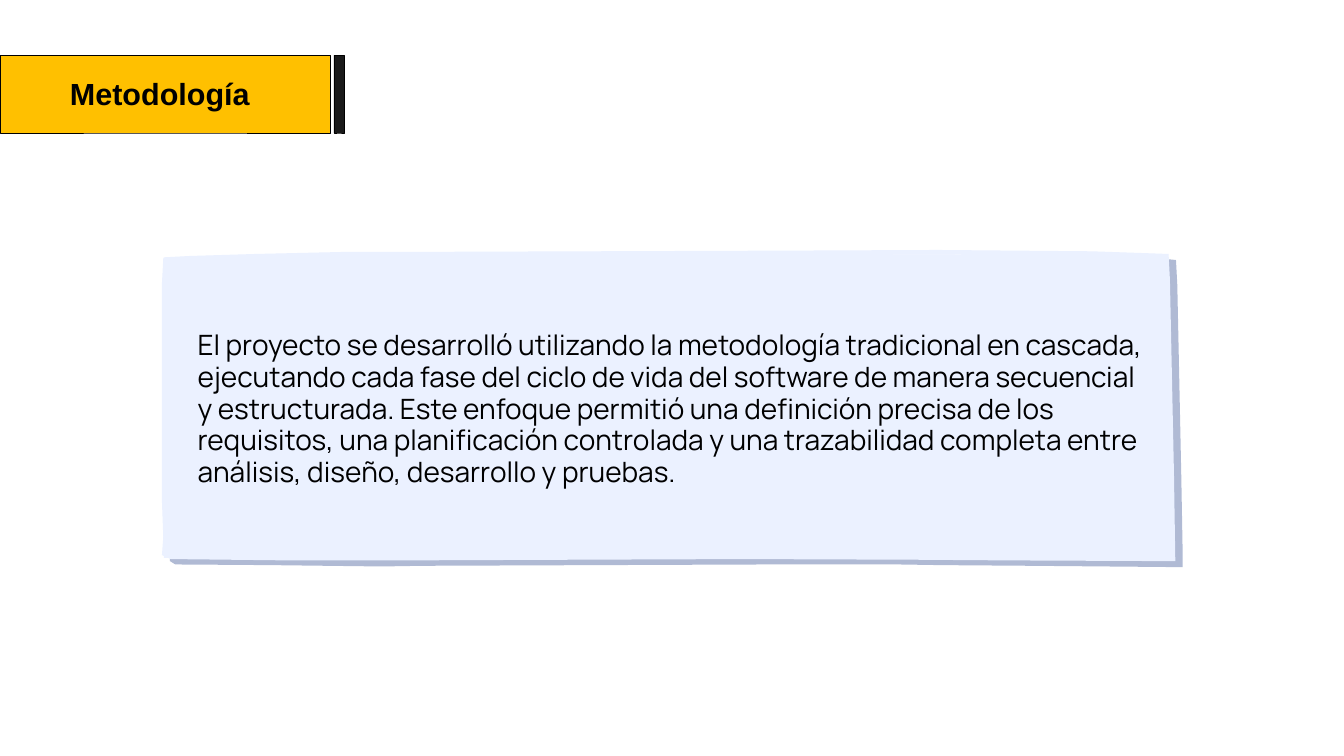
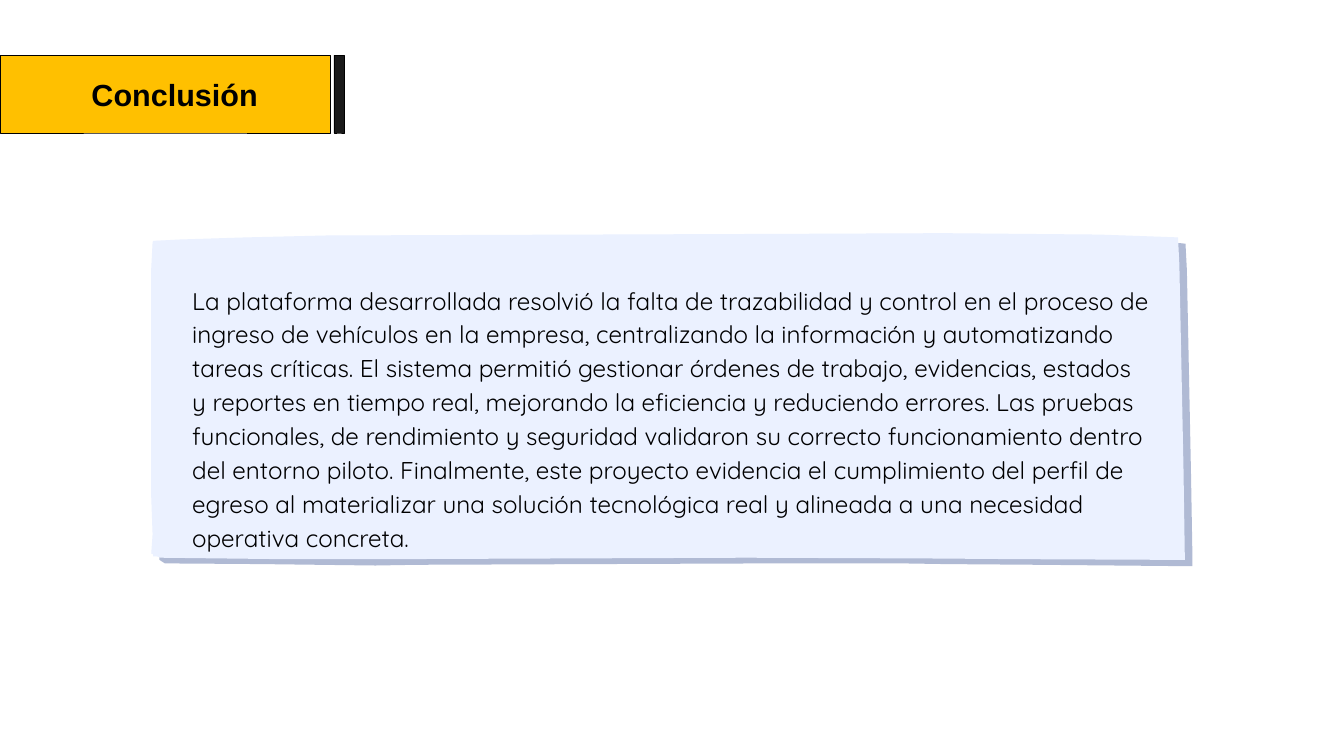
from dataclasses import dataclass
from typing import Any

from lxml import etree
from pptx import Presentation
from pptx.dml.color import RGBColor
from pptx.enum.shapes import MSO_SHAPE
from pptx.enum.text import MSO_ANCHOR, MSO_AUTO_SIZE, PP_ALIGN
from pptx.oxml.ns import qn
from pptx.util import Inches, Pt

RECTANGLE = MSO_SHAPE.RECTANGLE
TOP = MSO_ANCHOR.TOP
NO_AUTOFIT = MSO_AUTO_SIZE.NONE
LEFT, CENTER = PP_ALIGN.LEFT, PP_ALIGN.CENTER
TITLE_AND_CONTENT = 1

COLORS = {
    "text": "000000",
    "tab": "FFC000",
    "bar": "1A1A1A",
    "card": "EBF1FF",
    "shadow": "B0BAD4",
}

Point = tuple[float, float]
Contour = list[Point]
Box = tuple[float, float, float, float]

# Hand-drawn card outlines, in inches from the card's top left corner
SHADOW: Contour = [
    (0.13, 4.63), (0.21, 4.68), (1.62, 4.69), (3.28, 4.71), (3.88, 4.7),
    (9.03, 4.68), (10.97, 4.68), (11.6, 4.69), (12.96, 4.7), (15.2, 4.72),
    (15.2, 4.54), (15.18, 3.41), (15.12, 0.52), (15.1, 0.15), (15.01, 0.14),
    (0.16, 0.15),
]
SHEET: Contour = [
    (15.05, 4.6), (0.04, 4.58), (0.04, 1.67), (0.06, 0.11), (7.57, 0.05),
    (14.98, 0.08),
]
EDGE_OUTER: Contour = [
    (14.99, 0.06), (15.01, 0.44), (15.07, 3.33), (15.09, 4.63), (14.9, 4.63),
    (12.62, 4.62), (11.26, 4.61), (8.69, 4.6), (3.54, 4.62), (1.9, 4.62),
    (0.14, 4.6), (0.01, 4.54), (0.03, 4.27), (0.01, 3.74), (0.01, 0.5),
    (0.03, 0.13), (0.04, 0.11), (0.42, 0.09), (1.39, 0.06), (2.69, 0.03),
    (3.39, 0.03), (9.28, 0.01), (11.56, 0), (13.84, 0.02), (14.71, 0.05),
]
EDGE_INNER: Contour = [
    (15.02, 4.58), (15.02, 3.62), (14.96, 0.51), (14.94, 0.19), (14.88, 0.13),
    (13.89, 0.09), (11.74, 0.07), (9.78, 0.07), (3.82, 0.09), (2.28, 0.1),
    (0.16, 0.15), (0.09, 0.2), (0.07, 0.69), (0.08, 3.57), (0.09, 4.49),
    (0.13, 4.53), (1.26, 4.53), (2.35, 4.55), (4.06, 4.55), (10.6, 4.53),
    (13.36, 4.56), (14.76, 4.59),
]
CARD_LAYERS = [
    ("shadow", [SHADOW]),
    ("card", [SHEET]),
    ("card", [EDGE_OUTER, EDGE_INNER]),
]
TITLE_BARS = [
    ("tab", (0, 0.82, 4.92, 1.16)),
    ("bar", (4.97, 0.82, 0.15, 1.16)),
]


@dataclass
class TextStyle:
    font: str
    size: float
    line: float
    bold: bool = False
    align: Any = LEFT


@dataclass
class Card:
    left: float
    top: float
    scale_x: float = 1
    scale_y: float = 1


@dataclass
class TextSlide:
    title: str
    title_box: Box
    card: Card
    body: str
    body_box: Box
    body_style: TextStyle


TITLE_STYLE = TextStyle("Arial", 32.7, 39.3, bold=True, align=CENTER)

SLIDES = [
    TextSlide(
        "Metodología", (0, 1.12, 4.76, 0.58), Card(2.4, 3.72),
        "El proyecto se desarrolló utilizando la metodología tradicional en "
        "cascada, ejecutando cada fase del ciclo de vida del software de "
        "manera secuencial y estructurada. Este enfoque permitió una "
        "definición precisa de los requisitos, una planificación controlada "
        "y una trazabilidad completa entre análisis, diseño, desarrollo y "
        "pruebas.",
        (2.94, 4.91, 14.12, 2.35), TextStyle("Manrope", 30, 33.9),
    ),
    TextSlide(
        "Conclusión", (0.44, 1.13, 4.32, 0.58), Card(2.24, 3.47, 1.02, 1.05),
        "La plataforma desarrollada resolvió la falta de trazabilidad y "
        "control en el proceso de ingreso de vehículos en la empresa, "
        "centralizando la información y automatizando tareas críticas. El "
        "sistema permitió gestionar órdenes de trabajo, evidencias, estados "
        "y reportes en tiempo real, mejorando la eficiencia y reduciendo "
        "errores. Las pruebas funcionales, de rendimiento y seguridad "
        "validaron su correcto funcionamiento dentro del entorno piloto. "
        "Finalmente, este proyecto evidencia el cumplimiento del perfil de "
        "egreso al materializar una solución tecnológica real y alineada a "
        "una necesidad operativa concreta.",
        (2.86, 4.18, 14.27, 3.48), TextStyle("Quicksand", 26, 36.4),
    ),
]


def rgb(name: str) -> RGBColor:
    return RGBColor.from_string(COLORS[name])


def set_all(target: Any, values: dict[str, Any]) -> None:
    for name, value in values.items():
        setattr(target, name, value)


def paint(sp: Any, color: str) -> None:
    sp.shadow.inherit = False
    sp.fill.solid()
    sp.fill.fore_color.rgb = rgb(color)


def add_title_bars(slide: Any) -> None:
    for color, box in TITLE_BARS:
        sp = slide.shapes.add_shape(RECTANGLE, *map(Inches, box))
        paint(sp, color)
        sp.line.color.rgb = rgb("text")
        sp.line.width = Pt(1)


def add_card(slide: Any, card: Card) -> None:
    for color, contours in CARD_LAYERS:
        builder = None
        for contour in contours:
            points = [(Inches(card.left + x * card.scale_x),
                       Inches(card.top + y * card.scale_y))
                      for x, y in contour]
            if builder is None:
                builder = slide.shapes.build_freeform(*points[0], scale=1.0)
            else:
                builder.move_to(*points[0])
            builder.add_line_segments(points[1:], close=True)
        sp = builder.convert_to_shape()
        paint(sp, color)
        sp.line.fill.background()


def place_text(slide: Any, sp: Any, text: str, box: Box,
               style: TextStyle) -> None:
    # Placeholders come first in the tree, so bring them in front of the shapes
    slide.shapes.element.append(sp.element)
    set_all(sp, dict(zip(("left", "top", "width", "height"),
                         map(Inches, box))))
    tf = sp.text_frame
    tf.text = text
    set_all(tf, {
        "margin_left": 0, "margin_right": 0, "margin_top": 0,
        "margin_bottom": 0, "word_wrap": True, "auto_size": NO_AUTOFIT,
        "vertical_anchor": TOP,
    })
    p = tf.paragraphs[0]
    set_all(p, {"alignment": style.align, "line_spacing": Pt(style.line),
                "space_before": Pt(0)})
    pPr = p._p.get_or_add_pPr()
    set_all_xml = {"marL": "0", "indent": "0"}
    for name, value in set_all_xml.items():
        pPr.set(name, value)
    etree.SubElement(pPr, qn("a:buNone"))
    font = p.runs[0].font
    set_all(font, {"name": style.font, "size": Pt(style.size),
                   "bold": style.bold})
    font.color.rgb = rgb("text")


def main() -> None:
    prs = Presentation()
    prs.slide_width, prs.slide_height = Inches(20), Inches(11.25)
    for item in SLIDES:
        slide = prs.slides.add_slide(prs.slide_layouts[TITLE_AND_CONTENT])
        title, body = slide.placeholders
        add_title_bars(slide)
        add_card(slide, item.card)
        place_text(slide, title, item.title, item.title_box, TITLE_STYLE)
        place_text(slide, body, item.body, item.body_box, item.body_style)
    prs.save("out.pptx")


if __name__ == "__main__":
    main()
